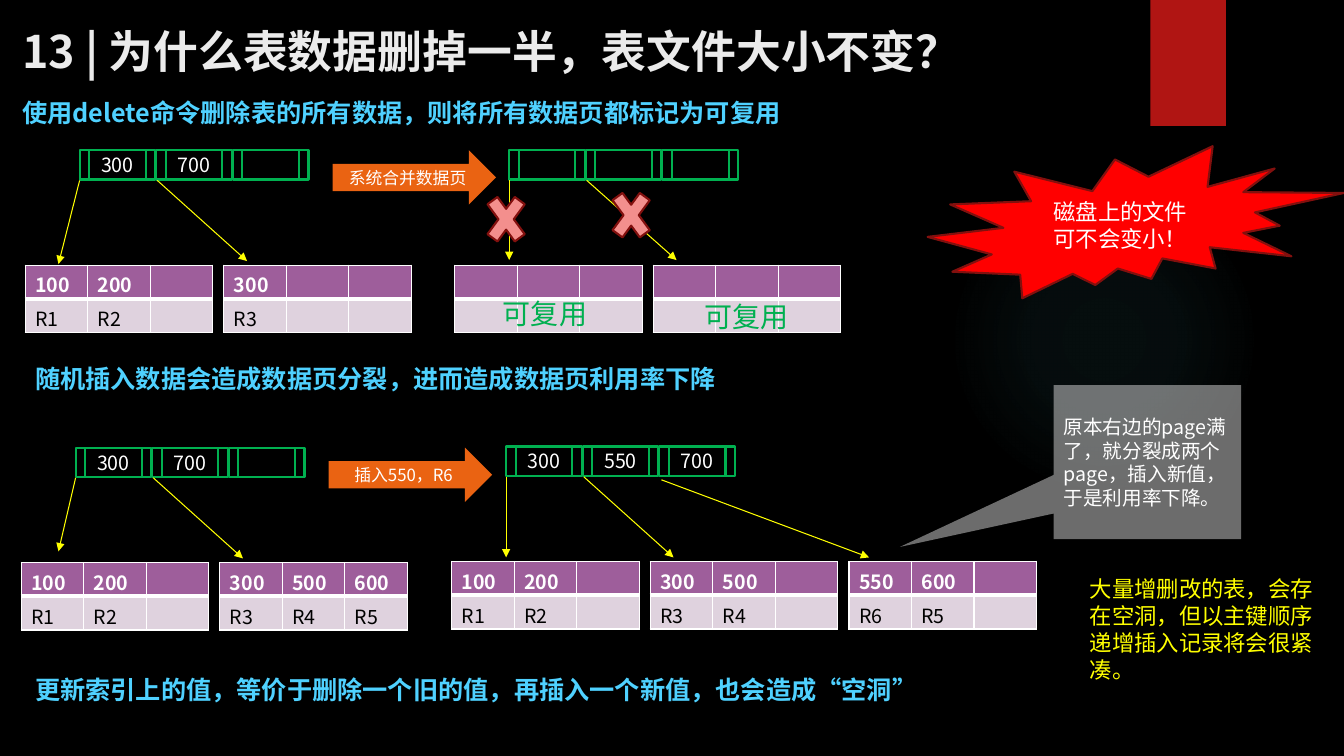
from lxml import etree
from pptx import Presentation
from pptx import util as u
from pptx.dml.color import RGBColor
from pptx.enum import shapes, text
from pptx.oxml import parse_xml
from pptx.oxml.ns import nsdecls, qn

FONT = "Noto Sans CJK SC"
BLACK = RGBColor(0, 0, 0)
WHITE = RGBColor(0xFF, 0xFF, 0xFF)
TITLE = RGBColor(0xEB, 0xEB, 0xEB)
SKY = RGBColor(0x4F, 0xD1, 0xFF)
GREEN = RGBColor(0x00, 0xB0, 0x50)
YELLOW = RGBColor(0xFF, 0xFF, 0x00)
ORANGE = RGBColor(0xEA, 0x63, 0x12)
RED = RGBColor(0xFF, 0x00, 0x00)
BANNER = RGBColor(0xB0, 0x15, 0x13)
DARK_RED = RGBColor(0x82, 0x10, 0x0E)
PINK = RGBColor(0xF3, 0x8F, 0x8D)
GREY = RGBColor(0xD9, 0xD9, 0xD9)
PURPLE = RGBColor(0x9E, 0x5E, 0x9B)
LILAC = RGBColor(0xDF, 0xD2, 0xDE)
SHAPE = shapes.MSO_SHAPE
MIDDLE = text.MSO_ANCHOR.MIDDLE
CENTER = text.PP_ALIGN.CENTER

NODE_STEP, NODE_HEIGHT = 0.76, 0.29
PAGE_STEP, COLUMN, ROW = 1.97, 0.62, 0.335


def inches(*lengths):
    return [u.Inches(length) for length in lengths]


def write(frame, wording, size, color, bold=False, align=None):
    frame.word_wrap = True
    frame.text = wording
    for para in frame.paragraphs:
        para.alignment = align
        font = para.font
        font.size, font.bold, font.name = u.Pt(size), bold, FONT
        font.color.rgb = color
        # East Asian characters take their own font element
        latin = font._element.find(qn("a:latin"))
        latin.addnext(parse_xml(f'<a:ea {nsdecls("a")} typeface="{FONT}"/>'))


def add_text(page, box, wording, size, color, bold=False):
    label = page.shapes.add_textbox(*inches(*box))
    write(label.text_frame, wording, size, color, bold)
    return label


def add_figure(page, kind, box, fill=None, line=None):
    figure = page.shapes.add_shape(kind, *inches(*box))
    figure.shadow.inherit = False
    figure.text_frame.vertical_anchor = MIDDLE
    if fill is None:
        figure.fill.background()
    else:
        figure.fill.solid()
        figure.fill.fore_color.rgb = fill
    if line is None:
        figure.line.fill.background()
    else:
        figure.line.color.rgb = line
        figure.line.width = u.Pt(1.5)
    return figure


def add_pointer(page, start, end):
    pointer = page.shapes.add_connector(
        shapes.MSO_CONNECTOR.STRAIGHT, *inches(*start, *end))
    pointer.line.color.rgb = YELLOW
    pointer.line.width = u.Pt(0.75)
    etree.SubElement(pointer.line._get_or_add_ln(), qn("a:tailEnd"), type="triangle")
    etree.SubElement(pointer._element.spPr, qn("a:effectLst"))


def style_cell(cell, wording, header):
    cell.margin_bottom = 0
    if wording:
        write(cell.text_frame, wording, 14, WHITE if header else BLACK, header)
    else:
        etree.SubElement(cell.text_frame.paragraphs[0]._p, qn("a:endParaRPr"), sz="1400")
    # White borders, with a heavy rule between header and body
    heavy = "lnB" if header else "lnT"
    for side in ("lnL", "lnR", "lnT", "lnB"):
        width = u.Pt(3 if side == heavy else 1)
        cell._tc.get_or_add_tcPr().append(parse_xml(
            f'<a:{side} {nsdecls("a")} w="{width}"><a:solidFill>'
            f'<a:srgbClr val="{WHITE}"/></a:solidFill></a:{side}>'))
    cell.fill.solid()
    cell.fill.fore_color.rgb = PURPLE if header else LILAC


def add_data_page(page, left, top, keys, records):
    table = page.shapes.add_table(
        2, 3, *inches(left, top, 3 * COLUMN, 2 * ROW)).table
    for column in table.columns:
        column.width = u.Inches(COLUMN)
    for row, words in enumerate((keys, records)):
        table.rows[row].height = u.Inches(ROW)
        for column in range(3):
            wording = words[column] if column < len(words) else ""
            style_cell(table.cell(row, column), wording, row == 0)


def add_index(page, left, top, node_keys, data_pages, tips):
    """Index node above its data pages; tips are offsets from left and top."""
    node_left = left + 0.54
    for i, key in enumerate(node_keys):
        node = add_figure(page, SHAPE.FLOWCHART_PREDEFINED_PROCESS,
                          (node_left + i * NODE_STEP, top, 0.75, NODE_HEIGHT), line=GREEN)
        if key:
            write(node.text_frame, key, 14, WHITE, align=CENTER)
    for i, (keys, records) in enumerate(data_pages):
        add_data_page(page, left + i * PAGE_STEP, top + 1.14, keys, records)
    for i, (across, down) in enumerate(tips):
        start = node_left + i * (NODE_STEP + 0.01), top + (0.3 if i < 2 else 0.33)
        add_pointer(page, start, (left + across, top + down))


def add_step(page, left, top, wording):
    arrow = add_figure(page, SHAPE.RIGHT_ARROW, (left, top, 1.62, 0.54), ORANGE)
    write(arrow.text_frame, wording, 12, WHITE, align=CENTER)


def add_backdrop(page):
    page.background.fill.solid()
    page.background.fill.fore_color.rgb = BLACK
    # Faint radial glow
    glow = add_figure(page, SHAPE.OVAL, (9.41, 1.83, 3.08, 3.08))
    stops = "".join(
        f'<a:gs pos="{place}000"><a:srgbClr val="50B9C1"><a:alpha val="{alpha}000"/>'
        "</a:srgbClr></a:gs>" for place, alpha in ((0, 7), (36, 6), (69, 0), (100, 0)))
    properties = glow._element.spPr
    properties.replace(properties.find(qn("a:noFill")), parse_xml(
        f'<a:gradFill {nsdecls("a")}><a:gsLst>{stops}</a:gsLst><a:path path="circle">'
        '<a:fillToRect l="50000" t="50000" r="50000" b="50000"/></a:path></a:gradFill>'))
    add_figure(page, SHAPE.RECTANGLE, (11.41, 0, 0.75, 1.25), BANNER)


def add_headings(page):
    title = add_text(page, (0.12, 0.17, 12.19, 0.66),
                     "13 | 为什么表数据删掉一半，表文件大小不变？", 32, TITLE, True)
    title.text_frame.vertical_anchor = MIDDLE
    for left, top, width, wording in (
            (0.12, 0.92, 7.81, "使用delete命令删除表的所有数据，则将所有数据页都标记为可复用"),
            (0.25, 3.56, 7.02, "随机插入数据会造成数据页分裂，进而造成数据页利用率下降"),
            (0.25, 6.64, 9.04, "更新索引上的值，等价于删除一个旧的值，再插入一个新值，也会造成“空洞”")):
        add_text(page, (left, top, width, 0.4), wording, 18, SKY, True)


def add_delete_case(page, left, top):
    add_index(page, left, top, ("300", "700", ""),
              ((("100", "200"), ("R1", "R2")), (("300",), ("R3",))),
              ((0.33, 1.13), (2.2, 1.1)))
    add_step(page, left + 3.05, top, "系统合并数据页")
    add_index(page, left + 4.26, top, ("", "", ""), (((), ()), ((), ())),
              ((0.54, 1.09), (2.2, 1.09)))
    # Cut pointers and reusable pages
    for across, down in ((5.75, 0.29), (4.51, 0.33)):
        add_figure(page, SHAPE.MATH_MULTIPLY,
                   (left + across, top + down, 0.52, 0.71), PINK, DARK_RED)
    for across, down in ((6.64, 1.43), (4.64, 1.4)):
        add_text(page, (left + across, top + down, 1.07, 0.44), "可复用", 20, GREEN)


def add_insert_case(page, left, top):
    first = (("100", "200"), ("R1", "R2"))
    add_index(page, left, top, ("300", "700", ""),
              (first, (("300", "500", "600"), ("R3", "R4", "R5"))),
              ((0.37, 1.03), (2.2, 1.1)))
    add_step(page, left + 3.05, top, "插入550，R6")
    add_index(page, left + 4.27, top - 0.01, ("300", "550", "700"),
              (first, (("300", "500"), ("R3", "R4")), (("550", "600"), ("R6", "R5"))),
              ((0.54, 1.1), (2.2, 1.1), (4.14, 1.1)))


def add_remarks(page):
    burst = add_figure(page, SHAPE.EXPLOSION2, (9.2, 1.45, 4.13, 1.51), RED, DARK_RED)
    write(burst.text_frame, "磁盘上的文件\n可不会变小！", 16, WHITE, align=CENTER)
    callout = add_figure(page, SHAPE.RECTANGULAR_CALLOUT, (10.45, 3.82, 1.86, 1.53), GREY)
    callout.adjustments[0], callout.adjustments[1] = -1.32, 0.55
    color = callout._element.spPr.find(qn("a:solidFill"))[0]
    etree.SubElement(color, qn("a:alpha"), val="50000")
    write(callout.text_frame, "原本右边的page满了，就分裂成两个page，插入新值，于是利用率下降。",
          14, WHITE, align=text.PP_ALIGN.LEFT)
    add_text(page, (10.71, 5.66, 2.61, 1.18),
             "大量增删改的表，会存在空洞，但以主键顺序递增插入记录将会很紧凑。", 16, YELLOW)


def main():
    deck = Presentation()
    deck.slide_width, deck.slide_height = inches(13.33, 7.5)
    page = deck.slides.add_slide(deck.slide_layouts[6])
    add_backdrop(page)
    add_headings(page)
    add_delete_case(page, 0.25, 1.49)
    add_insert_case(page, 0.21, 4.44)
    add_remarks(page)
    deck.save("out.pptx")


if __name__ == "__main__":
    main()
